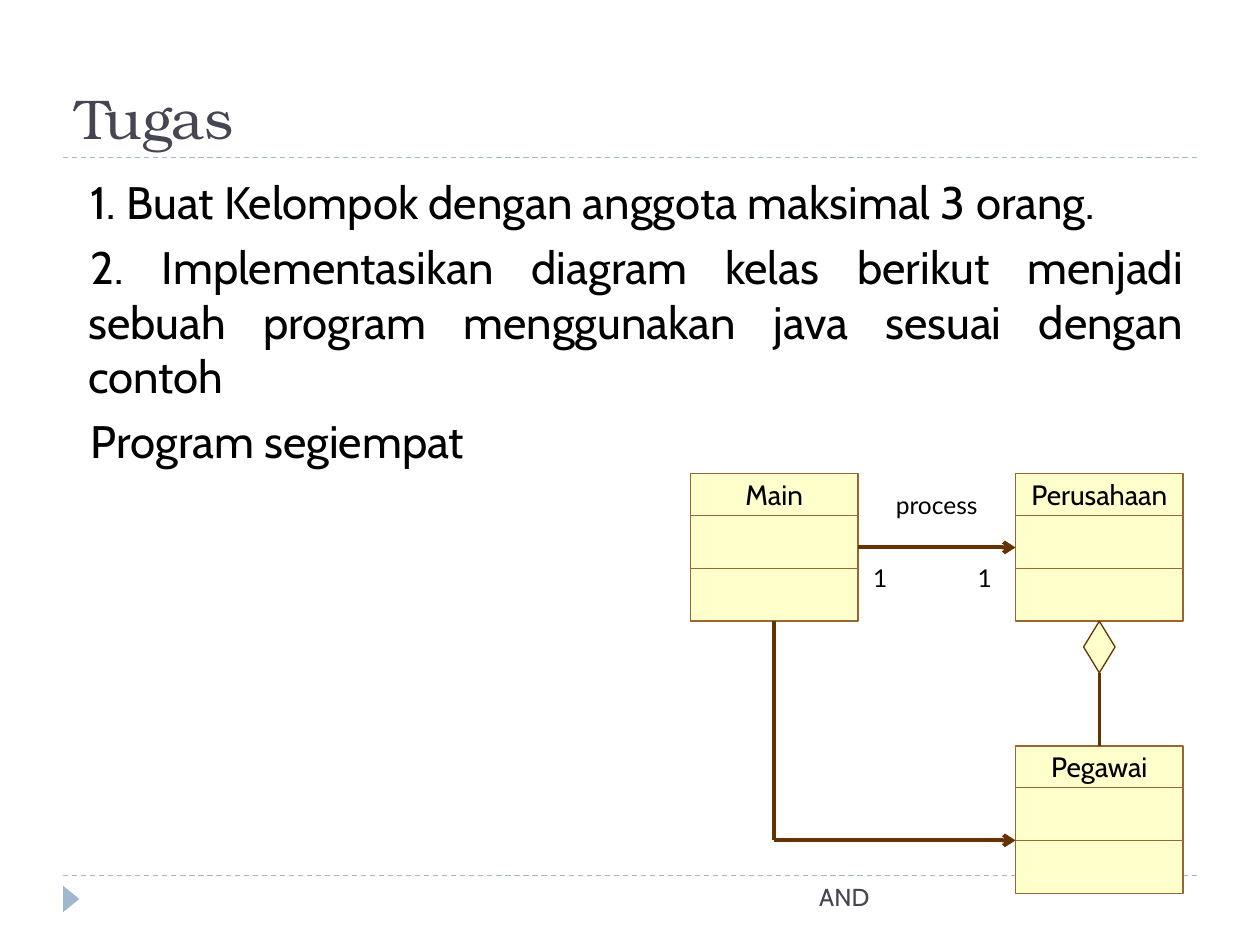
from dataclasses import dataclass
from lxml.etree import SubElement
from pptx import Presentation
from pptx.dml.color import RGBColor
from pptx.enum.dml import MSO_LINE_DASH_STYLE as Dash
from pptx.enum.shapes import MSO_CONNECTOR as Connector, MSO_SHAPE as Shape
from pptx.enum.text import MSO_ANCHOR as Anchor, MSO_AUTO_SIZE as AutoSize, PP_ALIGN as Align
from pptx.oxml.ns import qn
from pptx.util import Inches, Pt


@dataclass(frozen=True)
class Theme:
    ink: str = "000000"
    heading: str = "464653"
    accent: str = "9FB8CD"
    box_fill: str = "FFFFCC"
    box_line: str = "996633"
    relation: str = "663300"
    title_font: str = "TeX Gyre Bonum"
    body_font: str = "Cabin"
    label_font: str = "Lato"
    title_size: int = 32
    body_size: int = 26
    class_size: int = 16
    small_size: int = 14
    hairline: float = 0
    rule: float = 0.75
    bold_line: float = 2.25


def apply(target, values):
    for name, value in values.items():
        setattr(target, name, value)


class DiagramSlide:
    """Draw the elements of one slide in a shared theme."""

    def __init__(self, slide, theme):
        self.slide = slide
        self.shapes = slide.shapes
        self.theme = theme

    def set_text(self, shape, lines, font, size, color, align=Align.LEFT, frame=None, space=0):
        text_frame = shape.text_frame
        apply(text_frame, {"word_wrap": True, "auto_size": AutoSize.NONE, **(frame or {})})
        text_frame.text = "\n".join(lines)
        for paragraph in text_frame.paragraphs:
            apply(paragraph, {"alignment": align, "space_before": Pt(space)})
            apply(paragraph.font, {"name": font, "size": Pt(size), "bold": False})
            paragraph.font.color.rgb = RGBColor.from_string(color)

    def place(self, shape, left, top, width, height):
        apply(shape, {"left": Inches(left), "top": Inches(top),
                      "width": Inches(width), "height": Inches(height)})

    def title(self, text, box):
        shape = self.shapes.title
        self.place(shape, *box)
        self.set_text(shape, [text], self.theme.title_font, self.theme.title_size,
                      self.theme.heading, frame={"vertical_anchor": Anchor.BOTTOM})

    def body(self, lines, box):
        shape = self.slide.placeholders[1]
        self.place(shape, *box)
        self.set_text(shape, lines, self.theme.body_font, self.theme.body_size, self.theme.ink,
                      Align.JUSTIFY, {"vertical_anchor": Anchor.TOP}, 6)
        for paragraph in shape.text_frame.paragraphs:
            properties = paragraph._p.get_or_add_pPr()
            properties.set("marL", str(Inches(0.1)))
            properties.set("indent", str(Inches(0.02)))
            SubElement(properties, qn("a:buNone"))

    def text(self, text, box, font, color, align=Align.LEFT, frame=None):
        shape = self.shapes.add_textbox(*map(Inches, box))
        self.set_text(shape, [text], font, self.theme.small_size, color, align, frame)

    def label(self, text, box):
        self.text(text, box, self.theme.label_font, self.theme.ink,
                  frame={**NO_MARGINS, "word_wrap": False})

    def shape(self, kind, box, fill, line=None):
        shape = self.shapes.add_shape(kind, *map(Inches, box))
        shape.shadow.inherit = False
        shape.fill.solid()
        shape.fill.fore_color.rgb = RGBColor.from_string(fill)
        if line:
            shape.line.color.rgb = RGBColor.from_string(line)
            shape.line.width = Pt(self.theme.hairline)
        else:
            shape.line.fill.background()
        return shape

    def line(self, start, end, color, width, dash=None, arrow=False):
        connector = self.shapes.add_connector(Connector.STRAIGHT, *map(Inches, (*start, *end)))
        connector.line.color.rgb = RGBColor.from_string(color)
        apply(connector.line, {"width": Pt(width), "dash_style": dash})
        if arrow:
            SubElement(connector.line._get_or_add_ln(), qn("a:tailEnd"), type="arrow")
        SubElement(connector._element.spPr, qn("a:effectLst"))

    def class_box(self, name, left, top):
        theme = self.theme
        for text, height in ((name, NAME_HEIGHT), ("", PART_HEIGHT), ("", PART_HEIGHT)):
            box = (left, top, CLASS_WIDTH, height)
            part = self.shape(Shape.RECTANGLE, box, theme.box_fill, theme.box_line)
            if text:
                self.set_text(part, [text], theme.body_font, theme.class_size, theme.ink,
                              Align.CENTER, {**NO_MARGINS, "vertical_anchor": Anchor.MIDDLE})
            top += height


NO_MARGINS = dict.fromkeys(("margin_left", "margin_top", "margin_right", "margin_bottom"), 0)
CLASS_WIDTH, NAME_HEIGHT, PART_HEIGHT = 1.33, 0.33, 0.42
CLASS_HEIGHT = NAME_HEIGHT + 2 * PART_HEIGHT
MAIN_LEFT, COMPANY_LEFT = 5.48, 8.06
UPPER_TOP, LOWER_TOP = 3.76, 5.92
UPPER_BOTTOM = UPPER_TOP + CLASS_HEIGHT
MAIN_CENTER = MAIN_LEFT + CLASS_WIDTH / 2
COMPANY_CENTER = COMPANY_LEFT + CLASS_WIDTH / 2
DIAMOND_WIDTH, DIAMOND_HEIGHT = 0.25, 0.41

theme = Theme()
presentation = Presentation()
apply(presentation, {"slide_width": Inches(10), "slide_height": Inches(7.5)})
page = DiagramSlide(presentation.slides.add_slide(presentation.slide_layouts[1]), theme)

for rule_top in (6.95, 1.25):
    page.line((0.5, rule_top), (9.5, rule_top), theme.accent, theme.rule, Dash.DASH)
marker = page.shape(Shape.ISOSCELES_TRIANGLE, (0.46, 7.07, 0.21, 0.13), theme.accent)
marker.rotation = 90

page.title("Tugas", (0.5, 0.17, 9, 1.08))
page.text("AND", (3.17, 6.95, 3.83, 0.4), theme.body_font, theme.heading, Align.RIGHT)
page.body([
    "1. Buat Kelompok dengan anggota maksimal 3 orang.",
    "2. Implementasikan diagram kelas berikut menjadi sebuah program "
    "menggunakan java sesuai dengan contoh",
    "Program segiempat",
], (0.5, 1.33, 9, 5.4))

for name, left, top in (("Perusahaan", COMPANY_LEFT, UPPER_TOP),
                        ("Pegawai", COMPANY_LEFT, LOWER_TOP),
                        ("Main", MAIN_LEFT, UPPER_TOP)):
    page.class_box(name, left, top)

page.shape(Shape.DIAMOND, (COMPANY_CENTER - DIAMOND_WIDTH / 2, UPPER_BOTTOM,
                           DIAMOND_WIDTH, DIAMOND_HEIGHT), theme.box_fill, theme.relation)
page.line((COMPANY_CENTER, UPPER_BOTTOM + DIAMOND_HEIGHT), (COMPANY_CENTER, LOWER_TOP),
          theme.relation, theme.hairline)

process_y = UPPER_TOP + CLASS_HEIGHT / 2
employee_y = LOWER_TOP + NAME_HEIGHT + PART_HEIGHT
corner = (MAIN_CENTER, employee_y)
for start, end, arrow in (
    ((MAIN_LEFT + CLASS_WIDTH, process_y), (COMPANY_LEFT, process_y), True),
    ((MAIN_CENTER, UPPER_BOTTOM), corner, False),
    (corner, (COMPANY_LEFT, employee_y), True),
):
    page.line(start, end, theme.relation, theme.bold_line, arrow=arrow)

for text, box in (("process", (7.11, 3.89, 0.74, 0.3)),
                  ("1", (6.93, 4.47, 0.19, 0.3)),
                  ("1", (7.76, 4.47, 0.19, 0.3))):
    page.label(text, box)

presentation.save("out.pptx")
